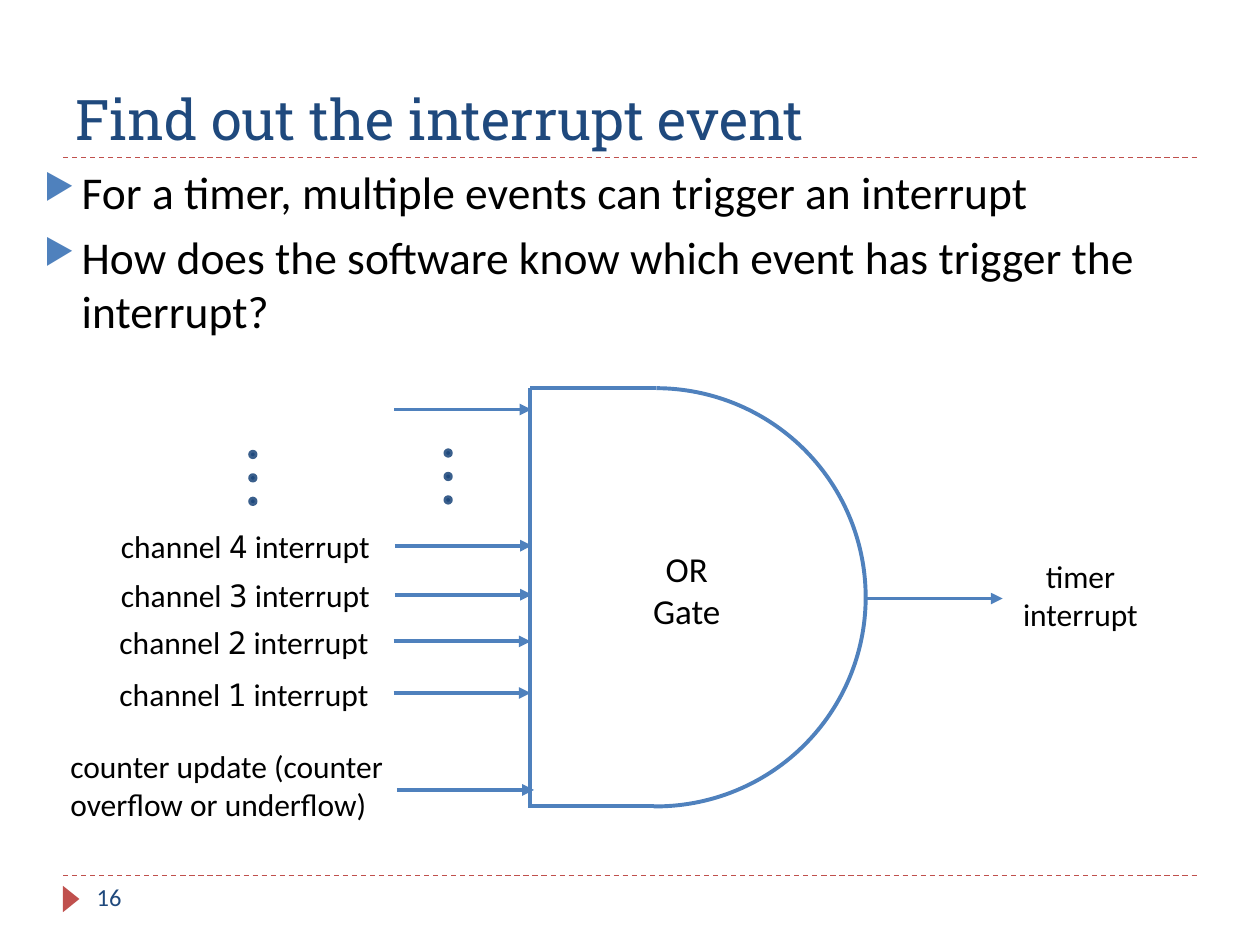
from lxml import etree
from pptx import Presentation
from pptx.dml.color import RGBColor
from pptx.enum.dml import MSO_LINE
from pptx.enum.shapes import MSO_CONNECTOR, MSO_SHAPE
from pptx.enum.text import MSO_ANCHOR, MSO_AUTO_SIZE, PP_ALIGN
from pptx.oxml.ns import qn
from pptx.util import Pt

STRAIGHT = MSO_CONNECTOR.STRAIGHT
ARC, OVAL, TRIANGLE = MSO_SHAPE.ARC, MSO_SHAPE.OVAL, MSO_SHAPE.ISOSCELES_TRIANGLE
LEFT, CENTER = PP_ALIGN.LEFT, PP_ALIGN.CENTER
TOP, BOTTOM = MSO_ANCHOR.TOP, MSO_ANCHOR.BOTTOM
DASH = MSO_LINE.DASH
NO_AUTOSIZE, GROW = MSO_AUTO_SIZE.NONE, MSO_AUTO_SIZE.SHAPE_TO_FIT_TEXT

NAVY = RGBColor(0x1F, 0x49, 0x7D)
BLUE = RGBColor(0x4F, 0x81, 0xBD)
DOT_EDGE = RGBColor(0x3A, 0x5F, 0x8C)
RED = RGBColor(0xC0, 0x50, 0x4D)
BLACK = RGBColor(0, 0, 0)

TITLE = "Find out the interrupt event"
PAGE_NUMBER = "16"
BULLETS = [
    "For a timer, multiple events can trigger an interrupt",
    "How does the software know which event has trigger the interrupt?",
]
CHANNELS = [("4", 62, 311.8), ("3", 62, 339.8), ("2", 61.2, 366.5), ("1", 61.2, 396)]
CAPTIONS = [
    ("OR Gate", 360.7, 309.6, 63.4, 55.4, 20, CENTER),
    ("timer interrupt", 573.1, 314.6, 88.6, 51.1, 18, CENTER),
    ("counter update (counter overflow or underflow)", 33.1, 423.4, 200.9, 51.1, 18, LEFT),
]
OTHER_ARROWS = [(225.4, 234), (226.8, 451.4), (494.6, 342)]
ARROW_LENGTH = 78.3
LABEL_INDENT = 163.7
RULES = [90, 500.4]
GATE_LEFT, GATE_TOP, GATE_BOTTOM = 303.1, 221.8, 460.8
GATE_EDGES = [
    (GATE_LEFT, GATE_TOP, GATE_LEFT, GATE_BOTTOM),
    (373.7, GATE_BOTTOM, 301.7, GATE_BOTTOM),
    (375.1, GATE_TOP, GATE_LEFT, GATE_TOP),
]
ELLIPSES = [(254.2, 257), (142.6, 257.8)]
DOT_SIZE, DOT_PITCH = 3.8, 13.4


def box(*frame):
    return [Pt(value) for value in frame]


def style(font, size, color, name="Calibri"):
    font.size, font.name = Pt(size), name
    font.color.rgb = color


def add_text(frame, text, size, color=BLACK, name="Calibri", align=LEFT,
             anchor=TOP, wrap=True, autosize=NO_AUTOSIZE):
    text_frame = slide.shapes.add_textbox(*box(*frame)).text_frame
    text_frame.word_wrap = wrap
    text_frame.auto_size = autosize
    text_frame.vertical_anchor = anchor
    text_frame.text = text
    for paragraph in text_frame.paragraphs:
        paragraph.alignment = align
        for run in paragraph.runs:
            style(run.font, size, color, name)
    return text_frame


def add_line(ends, color=BLUE, width=2.25, arrow=False, dash=None):
    line = slide.shapes.add_connector(STRAIGHT, *box(*ends))
    line.line.color.rgb = color
    line.line.width = Pt(width)
    if dash:
        line.line.dash_style = dash
    properties = line._element.spPr
    if arrow:
        etree.SubElement(properties.find(qn("a:ln")), qn("a:tailEnd"), type="triangle")
    etree.SubElement(properties, qn("a:effectLst"))


def add_bullet(paragraph):
    properties = paragraph._p.get_or_add_pPr()
    properties.set("marL", str(Pt(21.6)))
    properties.set("indent", str(-Pt(21.6)))
    color = etree.SubElement(properties, qn("a:buClr"))
    etree.SubElement(color, qn("a:srgbClr"), val=str(BLUE))
    etree.SubElement(properties, qn("a:buSzPct"), val="76000")
    etree.SubElement(properties, qn("a:buChar"), char="▶")


def add_arrow(x, y):
    add_line((x, y, x + ARROW_LENGTH, y), arrow=True)


prs = Presentation()
prs.slide_width, prs.slide_height = Pt(720), Pt(540)
slide = prs.slides.add_slide(prs.slide_layouts[6])

for y in RULES:
    add_line((36, y, 684, y), RED, 0.75, dash=DASH)

page_marker = slide.shapes.add_shape(TRIANGLE, *box(33.1, 509, 15.1, 9.4))
page_marker.rotation = 90
page_marker.shadow.inherit = False
page_marker.fill.solid()
page_marker.fill.fore_color.rgb = RED
page_marker.line.fill.background()

add_text((36, 12.2, 648, 77.8), TITLE, 32, NAVY, "Roboto Slab", anchor=BOTTOM)
add_text((48.2, 500.4, 156.2, 28.8), PAGE_NUMBER, 14, NAVY)

body = add_text((18, 90, 648, 388.8), "\n".join(BULLETS), 26)
for position, paragraph in enumerate(body.paragraphs):
    add_bullet(paragraph)
    paragraph.space_before = Pt(6 if position else 0)

gate_curve = slide.shapes.add_shape(ARC, *box(254.9, GATE_TOP, 239.8, 239))
gate_curve.adjustments[0] = 162.075
gate_curve.adjustments[1] = 54.384
gate_curve.shadow.inherit = False
gate_curve.fill.background()
gate_curve.line.color.rgb = BLUE
gate_curve.line.width = Pt(2.25)
for ends in GATE_EDGES:
    add_line(ends)

for text, left, top, width, height, size, align in CAPTIONS:
    add_text((left, top, width, height), text, size, align=align, autosize=GROW)

for digit, left, y in CHANNELS:
    add_arrow(left + LABEL_INDENT, y)
    label = add_text((left, y - 14, 160.6, 29), "channel ", 18, wrap=False, autosize=GROW)
    for part, font_name in [(digit, "Noto Sans Mono"), (" interrupt", "Calibri")]:
        run = label.paragraphs[0].add_run()
        run.text = part
        style(run.font, 18, BLACK, font_name)

for x, y in OTHER_ARROWS:
    add_arrow(x, y)

for left, top in ELLIPSES:
    dots = slide.shapes.add_group_shape()
    for step in range(3):
        dot = dots.shapes.add_shape(OVAL, *box(left, top + step * DOT_PITCH, DOT_SIZE, DOT_SIZE))
        dot.shadow.inherit = False
        dot.fill.solid()
        dot.fill.fore_color.rgb = NAVY
        dot.line.color.rgb = DOT_EDGE
        dot.line.width = Pt(1.5)

prs.save("out.pptx")
